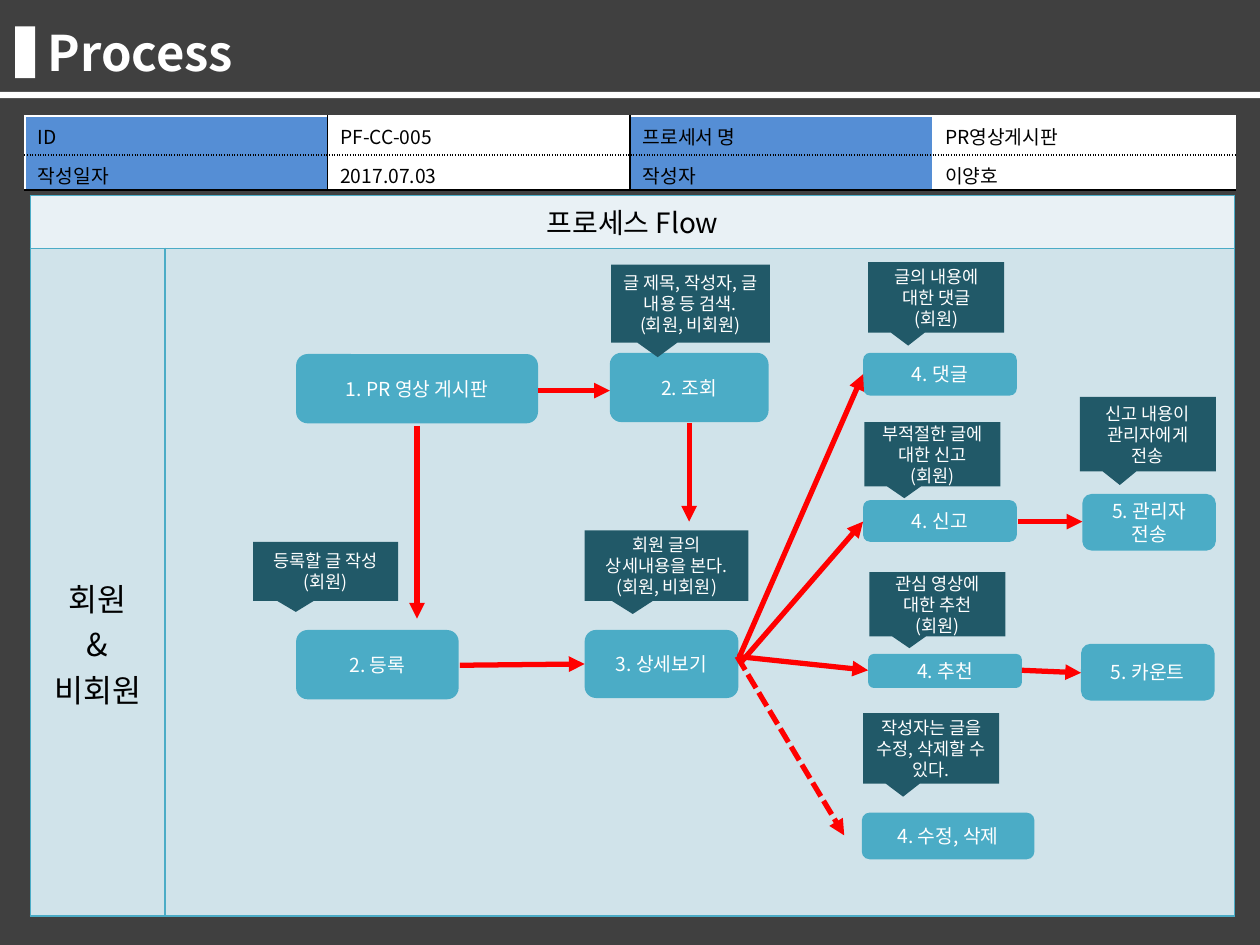
"""Build the process flow slide for the PR video board."""
import pptx
import pptx.dml.color
import pptx.enum.dml
import pptx.enum.shapes
import pptx.enum.text
import pptx.oxml
import pptx.oxml.ns
import pptx.util
from pptx.util import Inches

RGB = pptx.dml.color.RGBColor
SHAPE = pptx.enum.shapes.MSO_SHAPE
ALIGN = pptx.enum.text.PP_ALIGN
MIDDLE = pptx.enum.text.MSO_ANCHOR.MIDDLE

FONT = "Noto Sans CJK KR"
BLACK = RGB(0, 0, 0)
WHITE = RGB(255, 255, 255)
DARK = RGB(0x40, 0x40, 0x40)
BLUE = RGB(0x55, 0x8E, 0xD5)
TEAL = RGB(0x4B, 0xAC, 0xC6)
DEEP = RGB(0x21, 0x59, 0x68)
PALE = RGB(0xE9, 0xF1, 0xF5)
MIST = RGB(0xD0, 0xE3, 0xEA)
RED = RGB(255, 0, 0)

INFO = [
    ("ID", "PF-CC-005", "프로세서 명", "PR영상게시판"),
    ("작성일자", "2017.07.03", "작성자", "이양호"),
]
SIDES = [WHITE, BLACK, BLACK, WHITE, WHITE]
RULES = [(WHITE, "solid"), (BLACK, "sysDot"), (BLACK, "solid")]

BARS = [
    (0, 0, 10, 7.5, DARK),
    (0.12, 0.21, 0.16, 0.41, WHITE),
    (0, 0.73, 10, 0.05, WHITE),
]
STEPS = [
    ("1. PR 영상 게시판", 2.35, 2.81, 1.92, 0.55),
    ("2. 등록", 2.35, 5, 1.29, 0.55),
    ("2. 조회", 4.84, 2.8, 1.26, 0.55),
    ("3. 상세보기", 4.64, 5, 1.22, 0.54),
    ("4. 댓글", 6.85, 2.8, 1.22, 0.34),
    ("4. 신고", 6.85, 3.97, 1.22, 0.33),
    ("4. 추천", 6.89, 5.19, 1.22, 0.27),
    ("4. 수정, 삭제", 6.84, 6.45, 1.37, 0.37),
    ("5. 관리자 전송", 8.59, 3.92, 1.06, 0.45),
    ("5. 카운트", 8.58, 5.11, 1.06, 0.45),
]
NOTES = [
    ("등록할 글 작성\n(회원)", 2.01, 4.3, 1.15, 0.47),
    ("글 제목, 작성자, 글 내용 등 검색.\n(회원, 비회원)", 4.85, 2.1, 1.26, 0.62),
    ("회원 글의 상세내용을 본다.\n(회원, 비회원)", 4.64, 4.21, 1.3, 0.56),
    ("글의 내용에 대한 댓글\n(회원)", 6.89, 2.08, 1.08, 0.56),
    ("부적절한 글에 대한 신고\n(회원)", 6.86, 3.35, 1.08, 0.51),
    ("관심 영상에 대한 추천\n(회원)", 6.9, 4.54, 1.08, 0.51),
    ("작성자는 글을 수정, 삭제할 수 있다.", 6.85, 5.66, 1.08, 0.56),
    ("신고 내용이 관리자에게 전송", 8.57, 3.15, 1.08, 0.59),
]
ARROWS = [
    (3.31, 3.38, 3.31, 4.91, False),
    (4.27, 3.1, 4.84, 3.1, False),
    (5.47, 3.36, 5.47, 4.14, False),
    (3.65, 5.28, 4.64, 5.27, False),
    (5.87, 5.21, 6.85, 2.97, False),
    (5.87, 5.27, 6.85, 4.14, False),
    (5.85, 5.21, 6.89, 5.32, False),
    (5.85, 5.21, 6.7, 6.63, True),
    (8.08, 4.14, 8.59, 4.14, False),
    (8.11, 5.32, 8.58, 5.34, False),
]


def add_tag(parent, tag, **attrs):
    node = pptx.oxml.parse_xml(f"<a:{tag} {pptx.oxml.ns.nsdecls('a')}/>")
    for key, value in attrs.items():
        node.set(key, value)
    parent.append(node)
    return node


def write(frame, text, size, color, align=ALIGN.CENTER, bold=False):
    frame.text = text
    frame.word_wrap = True
    for para in frame.paragraphs:
        para.alignment = align
        font = para.font
        font.name, font.size, font.bold = FONT, pptx.util.Pt(size), bold
        font.color.rgb = color
        add_tag(para._p.pPr.defRPr, "ea", typeface=FONT)


def add_box(kind, place, color, text="", size=11):
    box = slide.shapes.add_shape(kind, *map(Inches, place))
    box.shadow.inherit = False
    box.fill.solid()
    box.fill.fore_color.rgb = color
    box.line.fill.background()
    if text:
        box.text_frame.vertical_anchor = MIDDLE
        write(box.text_frame, text, size, WHITE)
    return box


def add_grid(place, widths, heights):
    grid = slide.shapes.add_table(len(heights), len(widths), *map(Inches, place)).table
    grid.first_row = grid.horz_banding = False
    for col, width in zip(grid.columns, widths):
        col.width = Inches(width)
    for row, height in zip(grid.rows, heights):
        row.height = Inches(height)
    return grid


def dress(cell, color, edges):
    props = cell._tc.get_or_add_tcPr()
    for side, (tint, dash) in zip("LRTB", edges):
        edge = add_tag(props, f"ln{side}", w="12700")
        add_tag(add_tag(edge, "solidFill"), "srgbClr", val=str(tint))
        add_tag(edge, "prstDash", val=dash)
    cell.fill.solid()
    cell.fill.fore_color.rgb = color


deck = pptx.Presentation()
deck.slide_width, deck.slide_height = Inches(10), Inches(7.5)
slide = deck.slides.add_slide(deck.slide_layouts[5])

for *place, color in BARS:
    add_box(SHAPE.RECTANGLE, place, color)

title = slide.shapes.title
title.left, title.top, title.width, title.height = map(Inches, (0.28, 0.13, 8.98, 0.57))
title.text_frame.vertical_anchor = MIDDLE
write(title.text_frame, "Process", 28, WHITE, ALIGN.LEFT, True)
slide.shapes._spTree.append(title._element)

flow = add_grid((0.24, 1.55, 9.57, 5.73), (1.07, 8.49), (0.42, 5.3))
for cell, color in zip(flow.iter_cells(), (PALE, PALE, MIST, MIST)):
    dress(cell, color, [(TEAL, "solid")] * 4)
flow.cell(0, 0).merge(flow.cell(0, 1))
write(flow.cell(0, 0).text_frame, "프로세스 Flow", 16, BLACK)
actor = flow.cell(1, 0)
actor.margin_top = Inches(2.59)
write(actor.text_frame, "회원\n&\n비회원", 18, BLACK)

info = add_grid((0.2, 0.92, 9.6, 0.59), [2.4] * 4, (0.31, 0.28))
for r, row in enumerate(INFO):
    for c, text in enumerate(row):
        cell = info.cell(r, c)
        cell.margin_bottom = 0
        sides = [(tint, "solid") for tint in SIDES[c:c + 2]]
        dress(cell, WHITE if c % 2 else BLUE, sides + RULES[r:r + 2])
        write(cell.text_frame, text, 11, BLACK, ALIGN.LEFT)

for text, *place in STEPS:
    add_box(SHAPE.ROUNDED_RECTANGLE, place, TEAL, text)

for text, *place in NOTES:
    note = add_box(SHAPE.RECTANGULAR_CALLOUT, place, DEEP, text, 10)
    note.adjustments[0], note.adjustments[1] = -0.206, 0.685

for *ends, dashed in ARROWS:
    arrow = slide.shapes.add_connector(
        pptx.enum.shapes.MSO_CONNECTOR.STRAIGHT, *map(Inches, ends))
    arrow.line.color.rgb = RED
    arrow.line.width = pptx.util.Pt(3)
    if dashed:
        arrow.line.dash_style = pptx.enum.dml.MSO_LINE.SQUARE_DOT
    add_tag(arrow.line._get_or_add_ln(), "tailEnd", type="triangle")
    add_tag(arrow._element.spPr, "effectLst")

deck.save("out.pptx")
